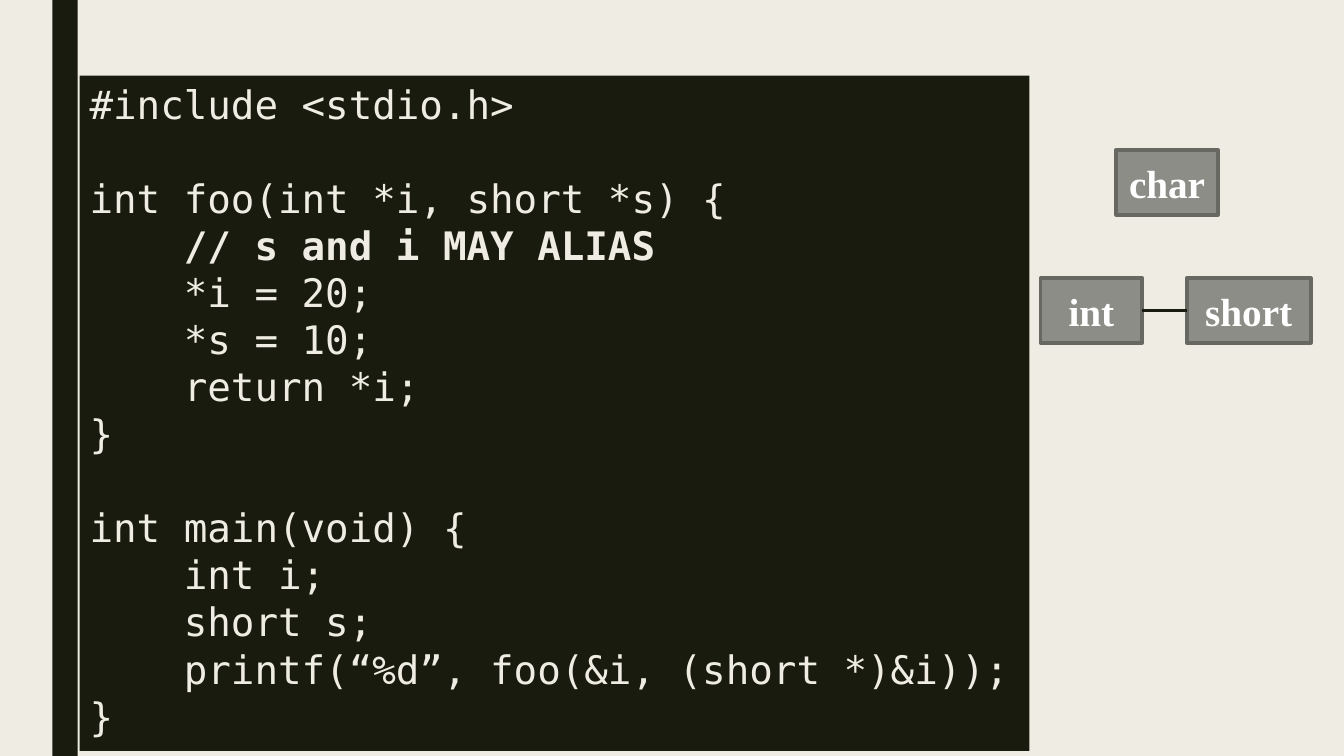
from lxml import etree
from pptx import Presentation
from pptx.dml.color import RGBColor
from pptx.enum.shapes import MSO_CONNECTOR, MSO_SHAPE
from pptx.enum.text import MSO_ANCHOR, PP_ALIGN
from pptx.oxml.ns import qn
from pptx.util import Inches, Pt

RECTANGLE = MSO_SHAPE.RECTANGLE
STRAIGHT = MSO_CONNECTOR.STRAIGHT
TOP, MIDDLE = MSO_ANCHOR.TOP, MSO_ANCHOR.MIDDLE
LEFT, CENTER = PP_ALIGN.LEFT, PP_ALIGN.CENTER

CREAM = RGBColor(0xEF, 0xED, 0xE3)
DARK = RGBColor(0x19, 0x1B, 0x0E)
GRAY = RGBColor(0x8C, 0x8D, 0x86)
EDGE = RGBColor(0x68, 0x68, 0x63)
WHITE = RGBColor(0xFF, 0xFF, 0xFF)

CODE_FONT = "DejaVu Sans Mono"
TYPE_FONT = "Times New Roman"
TEXT_SIZE = Pt(28)
CODE_PITCH = Pt(33.6)

CODE = """#include <stdio.h>

int foo(int *i, short *s) {
    // s and i MAY ALIAS
    *i = 20;
    *s = 10;
    return *i;
}

int main(void) {
    int i;
    short s;
    printf(“%d”, foo(&i, (short *)&i));
}"""

TYPE_NODES = [
    ("char", 11.07, 1.49, 1.01),
    ("int", 10.32, 2.76, 1.01),
    ("short", 11.77, 2.76, 1.23),
]
NODE_HEIGHT = 0.64


def add_box(slide, left, top, width, height, fill):
    box = slide.shapes.add_shape(
        RECTANGLE, Inches(left), Inches(top), Inches(width), Inches(height))
    box.shadow.inherit = False
    box.fill.solid()
    box.fill.fore_color.rgb = fill
    box.line.fill.background()
    return box


def add_text(paragraph, text, font_name, color, bold):
    run = paragraph.add_run()
    run.text = text
    run.font.name = font_name
    run.font.size = TEXT_SIZE
    run.font.color.rgb = color
    run.font.bold = bold


def add_type_node(slide, label, left, top, width):
    node = add_box(slide, left, top, width, NODE_HEIGHT, GRAY)
    node.line.color.rgb = EDGE
    node.line.width = Pt(2.75)
    frame = node.text_frame
    frame.word_wrap = True
    frame.vertical_anchor = MIDDLE
    paragraph = frame.paragraphs[0]
    paragraph.alignment = CENTER
    add_text(paragraph, label, TYPE_FONT, WHITE, True)
    return node


def add_code_panel(slide):
    frame = add_box(slide, 0.79, 0.75, 9.42, 6.7, DARK).text_frame
    frame.word_wrap = True
    frame.vertical_anchor = TOP
    for index, code_line in enumerate(CODE.split("\n")):
        paragraph = frame.add_paragraph() if index else frame.paragraphs[0]
        paragraph.alignment = LEFT
        paragraph.line_spacing = CODE_PITCH
        paragraph.font.size = TEXT_SIZE
        if code_line:
            is_comment = code_line.lstrip().startswith("//")
            add_text(paragraph, code_line, CODE_FONT, CREAM, is_comment)


def add_alias_link(slide, first, second):
    link = slide.shapes.add_connector(STRAIGHT, 0, 0, 0, 0)
    link.begin_connect(first, 3)
    link.end_connect(second, 1)
    link.line.color.rgb = DARK
    link.line.width = Pt(2.25)
    etree.SubElement(link._element.spPr, qn("a:effectLst"))


def main():
    deck = Presentation()
    deck.slide_width = Inches(13.33)
    deck.slide_height = Inches(7.5)
    slide = deck.slides.add_slide(deck.slide_layouts[6])
    slide.background.fill.solid()
    slide.background.fill.fore_color.rgb = CREAM

    add_box(slide, 0.52, 0, 0.25, 7.5, DARK)
    nodes = {node[0]: add_type_node(slide, *node) for node in TYPE_NODES}
    add_code_panel(slide)
    add_alias_link(slide, nodes["int"], nodes["short"])
    deck.save("out.pptx")


if __name__ == "__main__":
    main()
